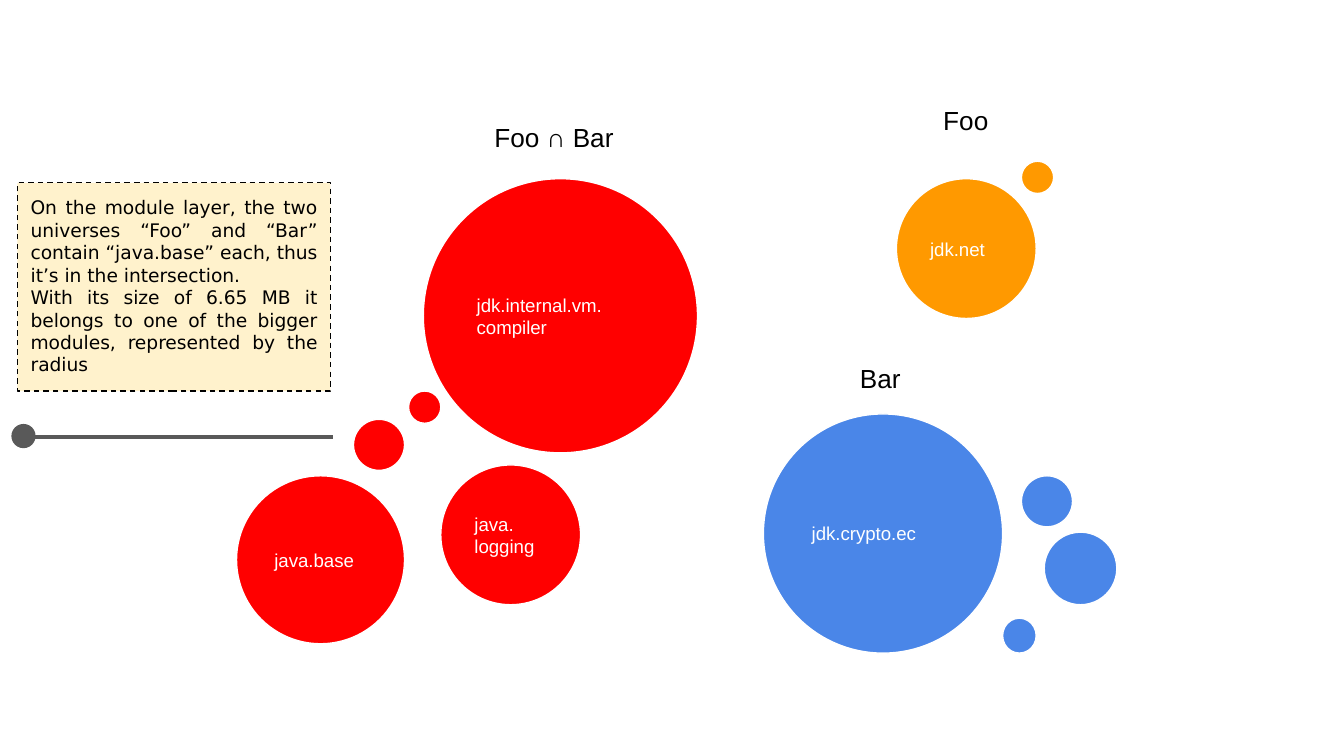
import pptx
import pptx.util
import pptx.dml.color
import pptx.enum.dml
import pptx.enum.shapes
import pptx.enum.text
import pptx.oxml.ns
import lxml.etree

PX = 9144  # 100 px to the inch
WIDTH = 1000
RED, GOLD, BLUE = "FF0000", "FF9900", "4A86E8"
WHITE, BLACK, GREY, CREAM = "FFFFFF", "000000", "595959", "FFF2CC"

# Modules by group: left, top, width, height, name
GROUPS = {
    RED: [
        (315, 133, 204, 204, "jdk.internal.vm.\ncompiler"),
        (176, 354, 125, 125, "java.base"),
        (328, 346, 104, 104, "java.\nlogging"),
        (263, 312, 38, 38, ""),
        (304, 291, 24, 24, ""),
    ],
    GOLD: [
        (667, 133, 104, 104, "jdk.net"),
        (760, 120, 24, 24, ""),
    ],
    BLUE: [
        (568, 308, 178, 178, "jdk.crypto.ec"),
        (746, 460, 25, 26, ""),
        (777, 396, 54, 54, ""),
        (760, 354, 38, 38, ""),
    ],
}
HEADS = [
    (358, 80, 131, 44, "Foo ∩ Bar"),
    (692, 68, 54, 44, "Foo"),
    (630, 260, 54, 44, "Bar"),
]
NOTE = [
    "On the module layer, the two universes “Foo” and “Bar” contain "
    "“java.base” each, thus it’s in the intersection.",
    "With its size of 6.65 MB it belongs to one of the bigger modules, "
    "represented by the radius",
]
NOTE_BOX = (13, 136, 233, 155)
RULE = (17, 325, 248, 325)
DOT = (9, 316, 17, 17)

KIND = pptx.enum.shapes.MSO_SHAPE
ALIGN = pptx.enum.text.PP_ALIGN
ANCHOR = pptx.enum.text.MSO_ANCHOR
GROW = pptx.enum.text.MSO_AUTO_SIZE.SHAPE_TO_FIT_TEXT
FRAME = {"word_wrap": True}
FRAME.update({"margin_" + side: 10 * PX
              for side in ("left", "top", "right", "bottom")})


def color(code):
    return pptx.dml.color.RGBColor.from_string(code)


def scale(box):
    return [n * PX for n in box]


def format_all(item, values):
    for key, value in values.items():
        setattr(item, key, value)


def write(shape, texts, font, size, tint, align=ALIGN.LEFT, **extra):
    frame = shape.text_frame
    format_all(frame, {**FRAME, **extra})
    for i, text in enumerate(texts):
        para = frame.add_paragraph() if i else frame.paragraphs[0]
        para.text = text
        para.alignment = align
        for run in para.runs:
            format_all(run.font, {"name": font, "size": pptx.util.Pt(size)})
            run.font.color.rgb = color(tint)


def draw(kind, box, fill, edge):
    shape = slide.shapes.add_shape(kind, *scale(box))
    shape.shadow.inherit = False
    shape.fill.solid()
    shape.fill.fore_color.rgb = color(fill)
    shape.line.color.rgb = color(edge)
    shape.line.width = pptx.util.Pt(0.75)
    return shape


# Slide in 16:9
deck = pptx.Presentation()
deck.slide_width = WIDTH * PX
deck.slide_height = WIDTH * PX * 9 // 16
slide = deck.slides.add_slide(deck.slide_layouts[6])

# Module circles
for fill, items in GROUPS.items():
    for *box, name in items:
        disc = draw(KIND.OVAL, box, fill, WHITE)
        if name:
            write(disc, [name], "Arial", 10, WHITE,
                  vertical_anchor=ANCHOR.MIDDLE)

# Group headings
for *box, name in HEADS:
    head = slide.shapes.add_textbox(*scale(box))
    write(head, [name], "Arial", 14, BLACK, auto_size=GROW)

# Explanation box
note = draw(KIND.RECTANGLE, NOTE_BOX, CREAM, BLACK)
note.line.dash_style = pptx.enum.dml.MSO_LINE.DASH
write(note, NOTE, "DejaVu Sans", 10, BLACK, ALIGN.JUSTIFY,
      vertical_anchor=ANCHOR.TOP, auto_size=GROW)

# Pointer line with its dot
rule = slide.shapes.add_connector(
    pptx.enum.shapes.MSO_CONNECTOR.STRAIGHT, *scale(RULE))
rule.line.color.rgb = color(GREY)
rule.line.width = pptx.util.Pt(2.25)
lxml.etree.SubElement(rule._element.spPr, pptx.oxml.ns.qn("a:effectLst"))
draw(KIND.OVAL, DOT, GREY, GREY)

deck.save("out.pptx")
